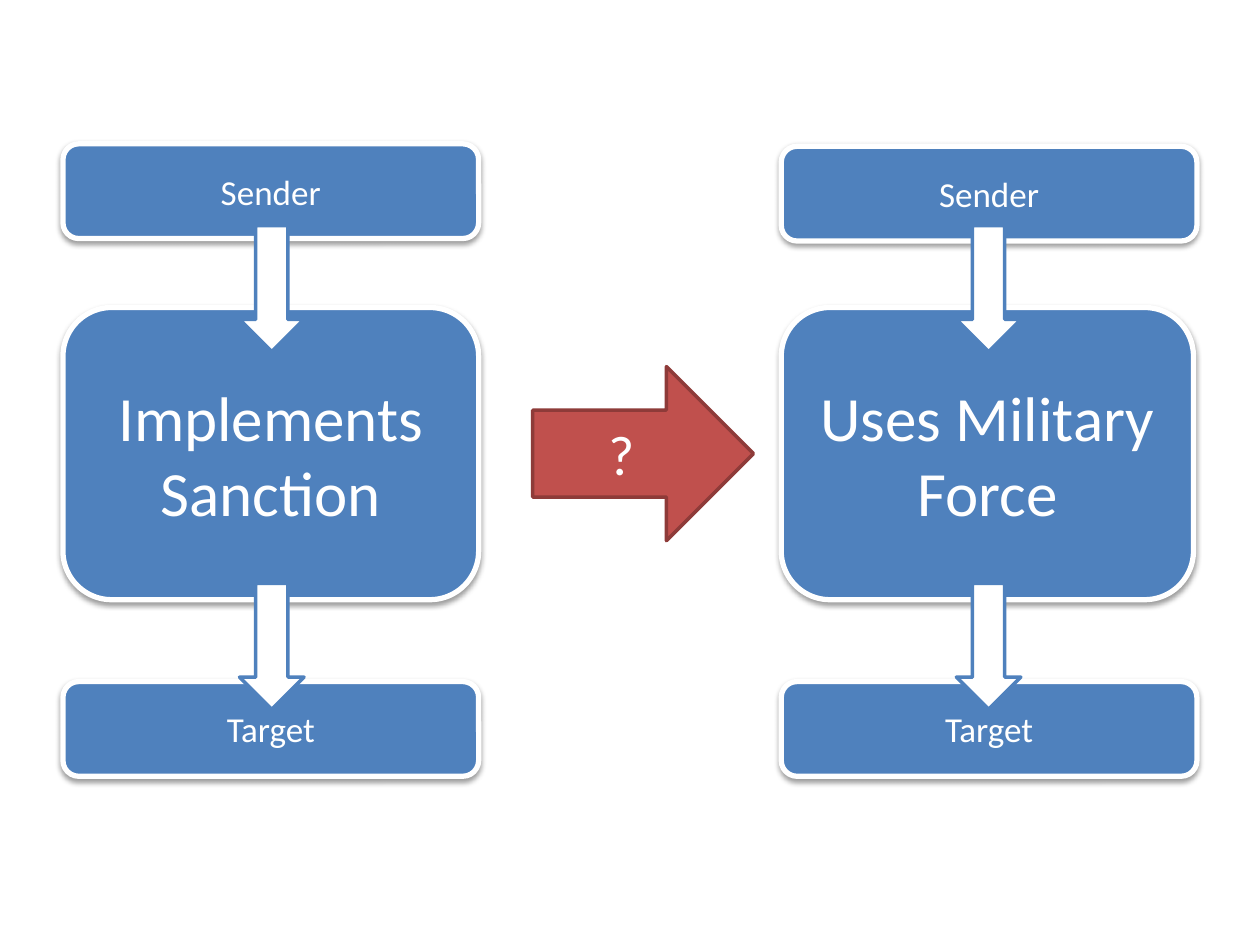
from lxml import etree
from pptx import Presentation, util as u
from pptx.dml.color import RGBColor
from pptx.enum import shapes, text
from pptx.oxml.ns import qn

BLUE = RGBColor(0x4F, 0x81, 0xBD)
RED = RGBColor(0xC0, 0x50, 0x4D)
DARK_RED = RGBColor(0x8E, 0x3B, 0x39)
WHITE = RGBColor(0xFF, 0xFF, 0xFF)
KIND = shapes.MSO_SHAPE


def add_block(s, kind, box, fill, line, width):
    """Add a filled, outlined shape with its box given in centimetres."""
    sp = s.shapes.add_shape(kind, *map(u.Cm, box))
    sp.shadow.inherit = False
    sp.fill.solid()
    sp.fill.fore_color.rgb = fill
    sp.line.color.rgb = line
    sp.line.width = u.Pt(width)
    return sp


def add_label(sp, label, size):
    """Write one centred line of white text into a shape."""
    tf = sp.text_frame
    tf.vertical_anchor = text.MSO_ANCHOR.MIDDLE
    p = tf.paragraphs[0]
    p.alignment = text.PP_ALIGN.CENTER
    r = p.add_run()
    r.text = label
    for name, value in {"name": "Calibri", "size": u.Pt(size)}.items():
        setattr(r.font, name, value)
    r.font.color.rgb = WHITE


def add_shadow(sp):
    """Give a shape a soft shadow straight below it."""
    effects = sp._element.spPr.find(qn("a:effectLst"))
    shadow = etree.SubElement(effects, qn("a:outerShdw"), {
        "blurRad": str(u.Pt(3.1)), "dist": str(u.Pt(1.6)),
        "dir": "5400000", "rotWithShape": "0"})
    color = etree.SubElement(shadow, qn("a:srgbClr"), val="000000")
    etree.SubElement(color, qn("a:alpha"), val="38000")


def add_card(s, box, label, size):
    """Add a blue rounded card with a label and a shadow."""
    sp = add_block(s, KIND.ROUNDED_RECTANGLE, box, BLUE, WHITE, 3)
    add_shadow(sp)
    add_label(sp, label, size)


def add_column(s, left, sender_top, action, action_width, arrow_left):
    """Add a sender, action and target stack joined by down arrows."""
    add_card(s, (left, 6.2, action_width, 5.89), action, 36)
    for top, label in ((sender_top, "Sender"), (13.74, "Target")):
        add_card(s, (left, top, 8.38, 1.91), label, 20)
    for top in (4.55, 11.76):
        add_block(s, KIND.DOWN_ARROW, (arrow_left, top, 1.3, 2.54), WHITE, BLUE, 2)


def main():
    """Build the slide and save it."""
    prs = Presentation()
    prs.slide_width, prs.slide_height = u.Cm(25.4), u.Cm(19.05)
    s = prs.slides.add_slide(prs.slide_layouts[6])
    add_column(s, 1.27, 2.9, "Implements Sanction", 8.38, 4.83)
    sp = add_block(s, KIND.RIGHT_ARROW, (10.74, 7.39, 4.45, 3.51), RED, DARK_RED, 2)
    add_label(sp, "?", 32)
    add_column(s, 15.75, 2.95, "Uses Military Force", 8.31, 19.28)
    prs.save("out.pptx")


if __name__ == "__main__":
    main()
